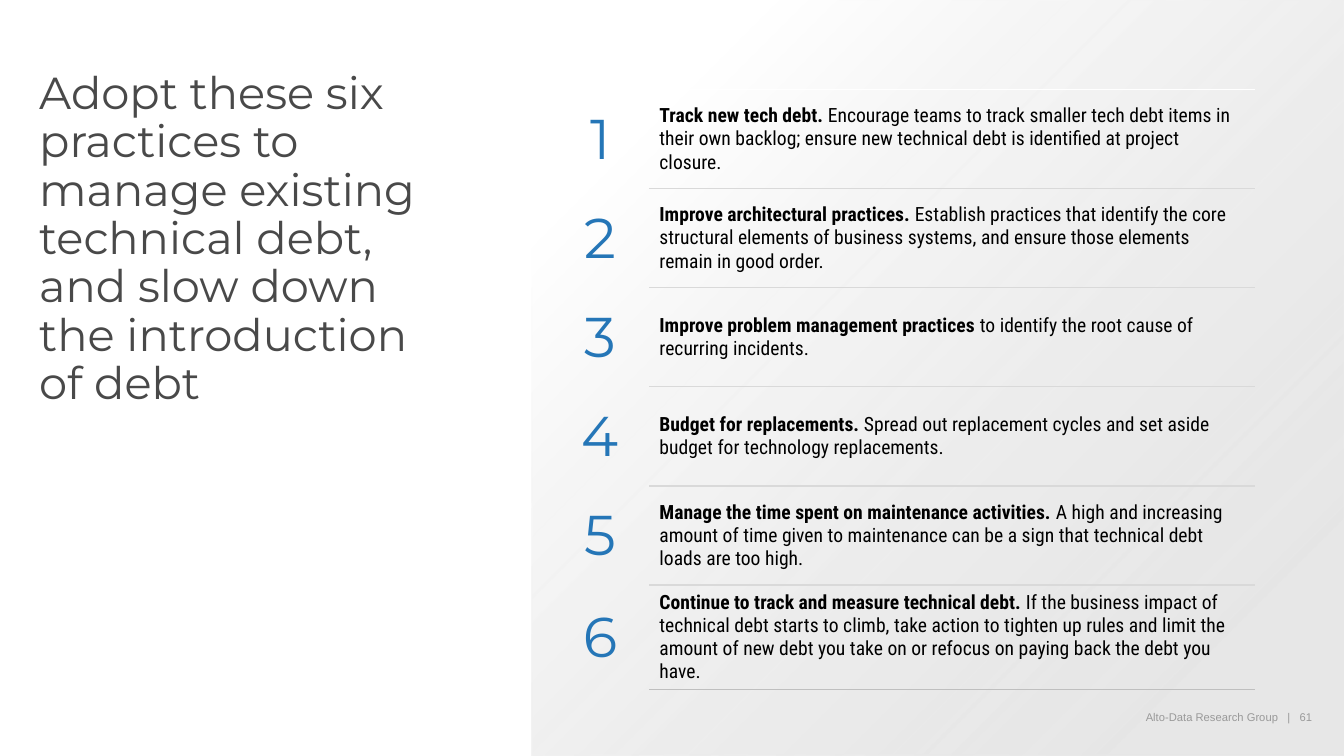
"""Build the slide listing six practices for managing technical debt."""
from lxml import etree
from pptx import Presentation
from pptx.dml.color import RGBColor
from pptx.enum import shapes, text
from pptx.oxml import ns
from pptx.util import Pt

PLAIN = "{2D5ABB26-0587-4C30-8999-92F81FD0307C}"
HEAD = "Montserrat"
BODY = "Roboto Condensed"
ROWS = [
    ("Track new tech debt.",
     " Encourage teams to track smaller tech debt items in their own backlog; "
     "ensure new technical debt is identified at project closure."),
    ("Improve architectural practices.",
     " Establish practices that identify the core structural elements of business "
     "systems, and ensure those elements remain in good order."),
    ("Improve problem management practices",
     " to identify the root cause of recurring incidents."),
    ("Budget for replacements.",
     " Spread out replacement cycles and set aside budget for technology replacements."),
    ("Manage the time spent on maintenance activities.",
     " A high and increasing amount of time given to maintenance can be a sign that "
     "technical debt loads are too high."),
    ("Continue to track and measure technical debt.",
     " If the business impact of technical debt starts to climb, take action to tighten "
     "up rules and limit the amount of new debt you take on or refocus on paying back "
     "the debt you have."),
]


def color(code):
    return RGBColor.from_string(code)


class Deck:
    def __init__(self, wide, high):
        self.prs = Presentation()
        self.prs.slide_width, self.prs.slide_height = Pt(wide), Pt(high)
        self.slide = self.prs.slides.add_slide(self.prs.slide_layouts[6])

    def style(self, font, face, size, code, bold=False):
        font.name, font.size, font.bold = face, Pt(size), bold
        font.color.rgb = color(code)

    def label(self, box, words, face, size, code, align=text.PP_ALIGN.LEFT, space=1.0):
        shape = self.slide.shapes.add_textbox(*map(Pt, box))
        frame = shape.text_frame
        frame.word_wrap = True
        frame.margin_left = frame.margin_right = 0
        frame.margin_top = frame.margin_bottom = 0
        frame.text = words
        para = frame.paragraphs[0]
        para.alignment, para.line_spacing = align, space
        self.style(para.runs[0].font, face, size, code)

    def panel(self, box, stops, angle):
        shape = self.slide.shapes.add_shape(shapes.MSO_SHAPE.RECTANGLE, *map(Pt, box))
        shape.shadow.inherit = False
        shape.line.fill.background()
        shape.fill.gradient()
        shape.fill.gradient_angle = angle
        for stop, (place, code, _) in zip(shape.fill.gradient_stops, stops):
            stop.position = place
            stop.color.rgb = color(code)
        marks = list(shape.element.iter(ns.qn("a:srgbClr")))
        for mark, (_, _, alpha) in zip(marks, stops):
            etree.SubElement(mark, ns.qn("a:alpha"), val=str(alpha * 1000))

    def edge(self, cell, side, code, width):
        line = etree.Element(ns.qn(f"a:ln{side}"), w=str(Pt(width)))
        fill = etree.SubElement(line, ns.qn("a:solidFill"))
        etree.SubElement(fill, ns.qn("a:srgbClr"), val=code)
        cell._tc.get_or_add_tcPr().insert(0, line)

    def cell(self, cell, parts, face, size, code, align):
        cell.fill.background()
        cell.vertical_anchor = text.MSO_ANCHOR.MIDDLE
        para = cell.text_frame.paragraphs[0]
        para.alignment = align
        for words, bold in parts:
            run = para.add_run()
            run.text = words
            self.style(run.font, face, size, code, bold)

    def table(self, left, top, widths, height, rows):
        frame = self.slide.shapes.add_table(
            len(rows), len(widths), Pt(left), Pt(top), Pt(sum(widths)), Pt(height * len(rows)))
        grid = frame.table
        grid.first_row = grid.horz_banding = False
        next(frame.element.iter(ns.qn("a:tableStyleId"))).text = PLAIN
        for col, width in zip(grid.columns, widths):
            col.width = Pt(width)
        last = len(rows) - 1
        for i, (lead, rest) in enumerate(rows):
            grid.rows[i].height = Pt(height)
            num, body = grid.cell(i, 0), grid.cell(i, 1)
            self.cell(num, [(str(i + 1), False)], HEAD, 40, "2576B7", text.PP_ALIGN.CENTER)
            self.cell(body, [(lead, True), (rest, False)], BODY, 14, "000000",
                      text.PP_ALIGN.LEFT)
            self.edge(body, "B", *(("BFBFBF", 0.25) if i == last else ("D9D9D9", 1)))
            self.edge(body, "T", "D9D9D9" if i else "FFFFFF", 1)


def main():
    deck = Deck(960.5, 540)
    deck.label((667, 507.6, 271, 9.4), "Alto-Data Research Group   |   61", "Arial", 8,
               "242424", text.PP_ALIGN.RIGHT)
    deck.panel((380.2, 0, 580.3, 540), [(0.15, "FFFFFF", 100), (0.85, "D9D9D9", 64)], 315)
    deck.label((28, 50.4, 277, 235.5),
               "Adopt these six practices to manage existing technical debt, "
               "and slow down the introduction of debt", HEAD, 32, "494949", space=0.9)
    deck.table(394.1, 64, (70, 432.7), 70.8, ROWS)
    deck.prs.save("out.pptx")


if __name__ == "__main__":
    main()
